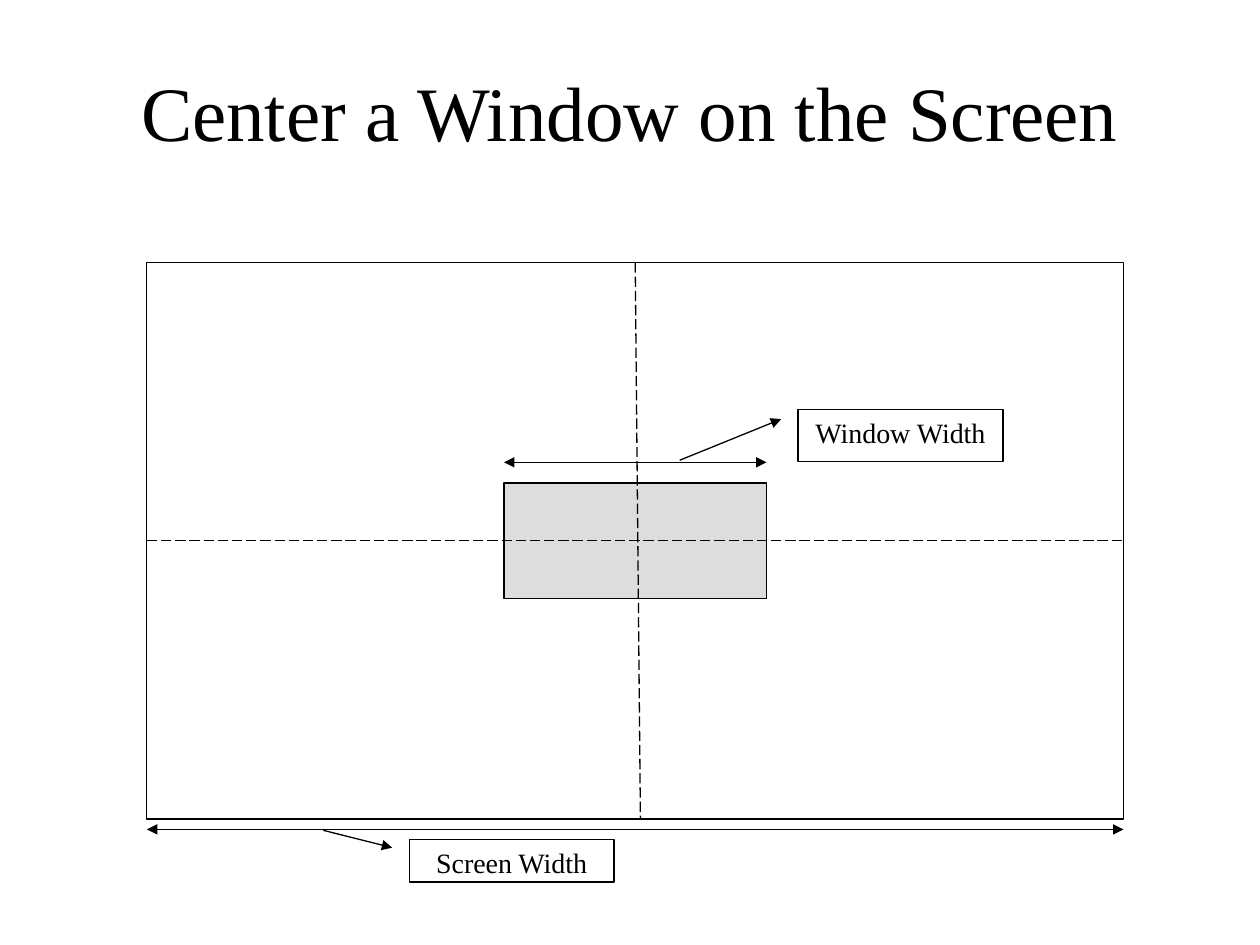
from lxml import etree
from pptx import Presentation
from pptx import util as u
from pptx.dml.color import RGBColor
from pptx.enum import dml, shapes, text
from pptx.oxml.ns import qn

FONT = "Times New Roman"
BLACK = "000000"


def color(code):
    return RGBColor.from_string(code)


def cms(*sizes):
    return [u.Cm(size) for size in sizes]


def stroke(item, ends=()):
    item.line.color.rgb = color(BLACK)
    item.line.width = u.Pt(0.75)
    line = item.line._get_or_add_ln()
    for end in ends:
        etree.SubElement(line, qn(f"a:{end}"), type="triangle")


def write(item, words, size, anchor):
    frame = item.text_frame
    frame.word_wrap = True
    frame.vertical_anchor = anchor
    frame.text = words
    para = frame.paragraphs[0]
    para.alignment = text.PP_ALIGN.CENTER
    font = para.runs[0].font
    font.name = FONT
    font.size = u.Pt(size)
    font.color.rgb = color(BLACK)


def add_title(slide, words):
    box = slide.shapes.add_textbox(*cms(1.9, 1.07, 21.6, 2.33))
    write(box, words, 44, text.MSO_ANCHOR.MIDDLE)


def add_panel(slide, place, fill):
    panel = slide.shapes.add_shape(shapes.MSO_SHAPE.RECTANGLE, *cms(*place))
    panel.shadow.inherit = False
    panel.fill.solid()
    panel.fill.fore_color.rgb = color(fill)
    stroke(panel)


def add_line(slide, start, stop, ends=()):
    line = slide.shapes.add_connector(
        shapes.MSO_CONNECTOR.STRAIGHT, *cms(*start, *stop))
    etree.SubElement(line._element.spPr, qn("a:effectLst"))
    stroke(line, ends)
    return line


def add_span(slide, left, right, y):
    add_line(slide, (left, y), (right, y), ("headEnd", "tailEnd"))


def add_axis(slide, start, stop):
    axis = add_line(slide, start, stop)
    axis.line.dash_style = dml.MSO_LINE.LONG_DASH


def add_label(slide, words, place, tip):
    label = slide.shapes.add_shape(
        shapes.MSO_SHAPE.LINE_CALLOUT_1, *cms(*place))
    label.shadow.inherit = False
    label.fill.background()
    for index, value in enumerate((0.188, -0.083, *tip)):
        label.adjustments[index] = value
    stroke(label, ["headEnd"])
    write(label, words, 16, text.MSO_ANCHOR.TOP)
    return label


def main():
    deck = Presentation()
    deck.slide_width, deck.slide_height = cms(25.4, 19.05)
    slide = deck.slides.add_slide(deck.slide_layouts[6])

    left, top, width, height = screen = 2.96, 5.29, 19.69, 11.22
    right, base, middle = left + width, top + height, top + height / 2
    window = 10.16, 9.74, 5.29, 2.33

    add_title(slide, "Center a Window on the Screen")
    add_panel(slide, screen, "FFFFFF")
    add_panel(slide, window, "DDDDDD")
    add_span(slide, left, right, base + 0.21)
    add_span(slide, window[0], window[0] + window[2], window[1] - 0.42)
    add_axis(slide, (left + width / 2, top), (12.91, base))
    add_axis(slide, (left, middle), (right, middle))
    add_label(slide, "Window Width", (16.09, 8.25, 4.13, 1.06),
              (0.971, -0.578))
    label = add_label(slide, "Screen Width", (8.25, 16.93, 4.13, 0.85),
                      (-0.224, -0.419))
    label.text_frame.paragraphs[0].space_after = u.Pt(20)
    deck.save("out.pptx")


if __name__ == "__main__":
    main()
